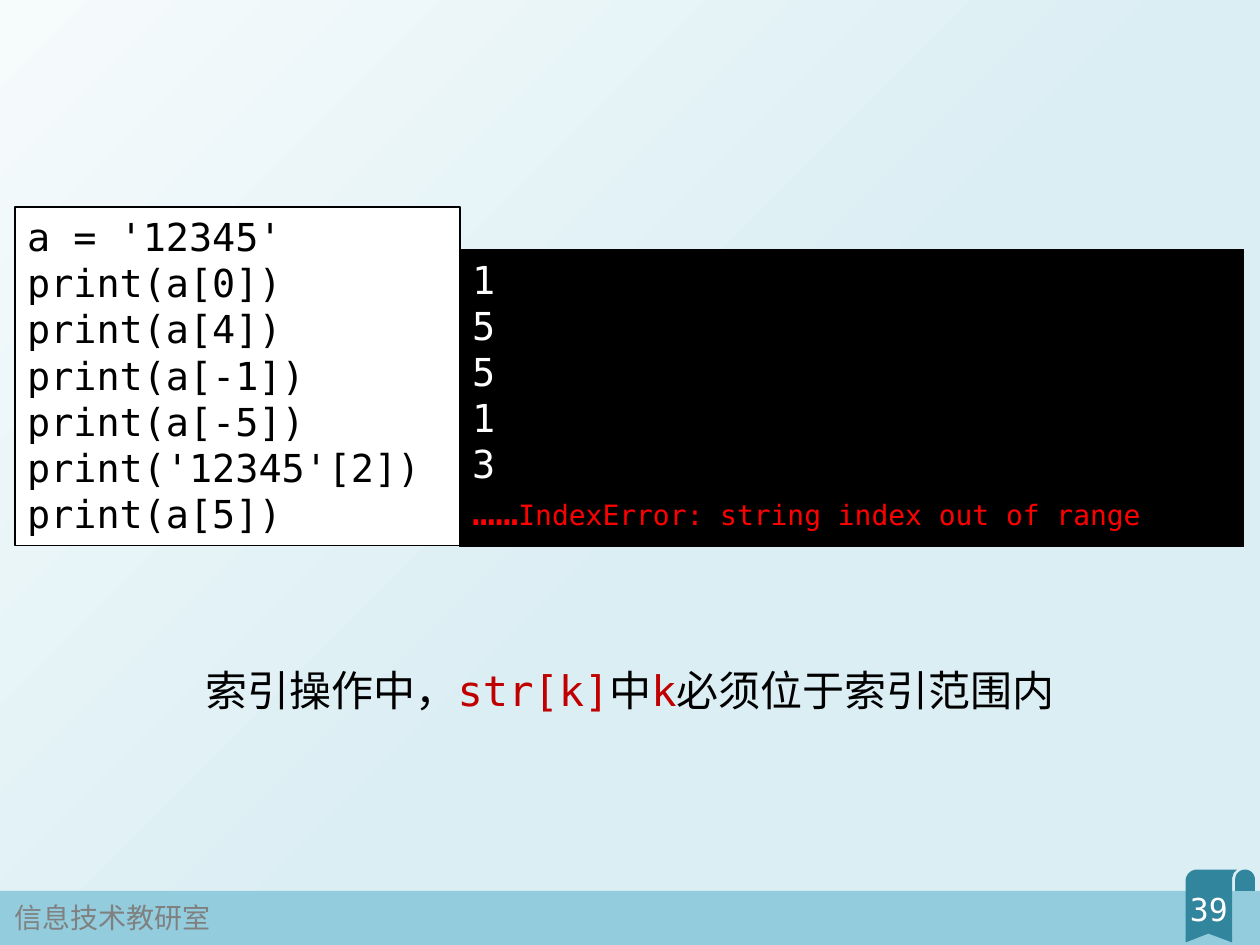
"""Build the slide on string indexing and its range error."""
from math import cos, radians, sin

from lxml.etree import SubElement
from pptx import Presentation
from pptx.dml.color import RGBColor
from pptx.enum.shapes import MSO_SHAPE as Kind
from pptx.enum.text import MSO_ANCHOR as Anchor, PP_ALIGN as Align
from pptx.oxml.ns import qn
from pptx.util import Cm, Pt

INK = {"black": "000000", "white": "FFFFFF", "red": "FF0000", "dark": "C00000",
       "gray": "808080", "band": "93CDDD", "teal": "31859C",
       "pale": "F6FBFC", "sky": "DBEEF4"}
MONO, HAN = "DejaVu Sans Mono", "Noto Sans CJK JP"


def write(shape, lines, align=Align.LEFT, font=MONO, wrap=True):
    """Fill a shape with lines, each a list of (text, size, colour) runs."""
    frame = shape.text_frame
    frame.word_wrap = wrap
    frame.vertical_anchor = Anchor.TOP
    for i, line in enumerate(lines):
        para = frame.paragraphs[0] if i == 0 else frame.add_paragraph()
        para.alignment = align
        for text, size, ink in line:
            run = para.add_run()
            run.text = text
            run.font.size = Pt(size)
            run.font.name = font
            run.font.color.rgb = RGBColor.from_string(INK[ink])
            SubElement(run.font._element, qn("a:ea"), typeface=font)
    return frame


def paint(shape, fill, line=0):
    """Set a plain fill and a black outline of the given width, or none."""
    shape.shadow.inherit = False
    shape.fill.solid()
    shape.fill.fore_color.rgb = RGBColor.from_string(INK[fill])
    if line:
        shape.line.color.rgb = RGBColor.from_string(INK["black"])
        shape.line.width = Pt(line)
    else:
        shape.line.fill.background()


deck = Presentation()
deck.slide_width, deck.slide_height = Cm(25.4), Cm(19.05)
slide = deck.slides.add_slide(deck.slide_layouts[6])
shapes = slide.shapes

back = slide.background.fill
back.gradient()
back.gradient_angle = 315
for stop, ink, spot in zip(back.gradient_stops, ("pale", "sky"), (0, 0.56)):
    stop.color.rgb = RGBColor.from_string(INK[ink])
    stop.position = spot

foot = shapes.add_shape(Kind.RECTANGLE, 0, Cm(17.96), Cm(25.4), Cm(1.09))
paint(foot, "band")

curl = [(25.1 + 0.2 * cos(radians(a)), 17.73 - 0.2 * sin(radians(a)))
        for a in range(0, 181, 15)] + [(24.9, 17.96), (25.3, 17.96)]
strip = [(24.13 - 0.23 * cos(radians(a)), 17.76 - 0.23 * sin(radians(a)))
         for a in range(0, 91, 15)]
strip += [(24.94, 17.53), (24.87, 17.6), (24.84, 17.7),
          (24.84, 19), (24.36, 18.82), (23.9, 19)]
pen = shapes.build_freeform(Cm(curl[0][0]), Cm(curl[0][1]))
pen.add_line_segments([(Cm(x), Cm(y)) for x, y in curl[1:]])
pen.move_to(Cm(strip[0][0]), Cm(strip[0][1]))
pen.add_line_segments([(Cm(x), Cm(y)) for x, y in strip[1:]])
paint(pen.convert_to_shape(), "teal")

label = shapes.add_textbox(Cm(0.05), Cm(18.03), Cm(4.5), Cm(0.94))
write(label, [[("信息技术教研室", 16, "gray")]], font=HAN, wrap=False)

page = shapes.add_textbox(Cm(23.47), Cm(17.81), Cm(1.8), Cm(1.02))
write(page, [[("39", 18, "white")]], Align.CENTER)

code = shapes.add_shape(Kind.RECTANGLE, Cm(0.3), Cm(4.17), Cm(8.97), Cm(6.83))
paint(code, "white", 1)
calls = ["a[0]", "a[4]", "a[-1]", "a[-5]", "'12345'[2]", "a[5]"]
rows = ["a = '12345'"] + [f"print({call})" for call in calls]
write(code, [[(row, 22, "black")] for row in rows])

out = shapes.add_shape(Kind.RECTANGLE, Cm(9.27), Cm(5.03), Cm(15.8), Cm(5.99))
paint(out, "black", 0.75)
error = [("……", 22, "red"), ("IndexError: string index out of range", 16, "red")]
write(out, [[(digit, 22, "white")] for digit in "15513"] + [error])

note = shapes.add_textbox(Cm(3.51), Cm(13.06), Cm(18.39), Cm(1.8))
parts = [("索引操作中，", "black"), ("str[k]", "dark"), ("中", "black"),
         ("k", "dark"), ("必须位于索引范围内", "black")]
frame = write(note, [[(text, 24, ink) for text, ink in parts]], Align.CENTER)
frame.paragraphs[0].line_spacing = 1.2
frame.paragraphs[0].space_before = Pt(10)

deck.save("out.pptx")
